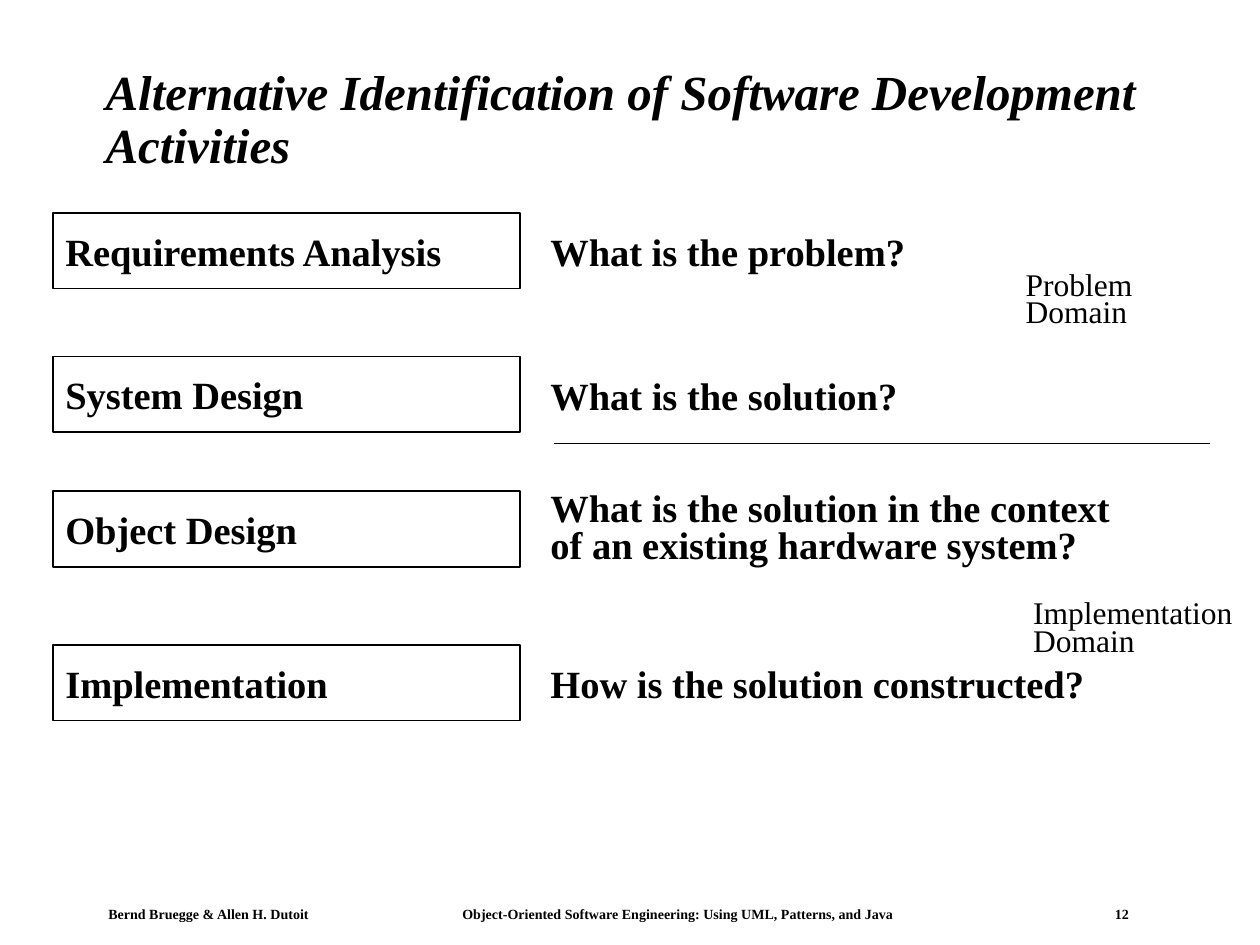
"""Builds a slide that pairs software development activities with the questions they answer."""
import pptx
import pptx.dml.color
import pptx.enum.shapes
import pptx.enum.text
import pptx.oxml
import pptx.oxml.ns
import pptx.util

Inches = pptx.util.Inches
Pt = pptx.util.Pt
Anchor = pptx.enum.text.MSO_ANCHOR


def color(value):
    return pptx.dml.color.RGBColor.from_string(value)


def write(tf, text, size=22, bold=True, italic=False, spacing=None, anchor=Anchor.TOP,
          wrap=False, inset=(0.1, 0.05), font="Times New Roman", ink="000000"):
    tf.word_wrap = wrap
    tf.vertical_anchor = anchor
    tf.margin_left = tf.margin_right = Inches(inset[0])
    tf.margin_top = tf.margin_bottom = Inches(inset[1])
    for i, line in enumerate(text.split("\n")):
        p = tf.paragraphs[0] if i == 0 else tf.add_paragraph()
        p.alignment = pptx.enum.text.PP_ALIGN.LEFT
        p.line_spacing = spacing
        r = p.add_run()
        r.text = line
        r.font.name = font
        r.font.size = Pt(size)
        r.font.bold = bold
        r.font.italic = italic
        r.font.color.rgb = color(ink)


class SlideBuilder:
    def __init__(self, slide, ink="000000", line_width=1):
        self.s = slide
        self.ink = ink
        self.line_width = Pt(line_width)

    def text(self, x, y, w, h, text, **fmt):
        sp = self.s.shapes.add_textbox(Inches(x), Inches(y), Inches(w), Inches(h))
        write(sp.text_frame, text, ink=self.ink, **fmt)
        return sp

    def box(self, x, y, w, h, text):
        sp = self.s.shapes.add_shape(pptx.enum.shapes.MSO_SHAPE.RECTANGLE,
                                     Inches(x), Inches(y), Inches(w), Inches(h))
        sp.shadow.inherit = False
        sp.fill.background()
        self.outline(sp)
        write(sp.text_frame, text, anchor=Anchor.MIDDLE, ink=self.ink)

    def line(self, x1, y1, x2, y2):
        cn = self.s.shapes.add_connector(pptx.enum.shapes.MSO_CONNECTOR.STRAIGHT,
                                         Inches(x1), Inches(y1), Inches(x2), Inches(y2))
        self.outline(cn)
        cn._element.spPr.append(pptx.oxml.parse_xml(
            f"<a:effectLst {pptx.oxml.ns.nsdecls('a')}/>"))

    def outline(self, sp):
        sp.line.color.rgb = color(self.ink)
        sp.line.width = self.line_width

    def footer(self, x, y, w, h, parts, tabs):
        sp = self.text(x, y, w, h, "\t".join(parts), size=8, wrap=True, inset=(0.08, 0.04))
        stops = "".join(f'<a:tab pos="{Inches(pos)}" algn="{align}"/>' for pos, align in tabs)
        pPr = sp.text_frame.paragraphs[0]._p.get_or_add_pPr()
        pPr.append(pptx.oxml.parse_xml(
            f"<a:tabLst {pptx.oxml.ns.nsdecls('a')}>{stops}</a:tabLst>"))


def main():
    prs = pptx.Presentation()
    prs.slide_width, prs.slide_height = Inches(10), Inches(7.5)
    b = SlideBuilder(prs.slides.add_slide(prs.slide_layouts[6]))

    b.footer(0.78, 7.15, 8.27, 0.21,
             ["Bernd Bruegge & Allen H. Dutoit",
              "Object-Oriented Software Engineering: Using UML, Patterns, and Java", "12"],
             [(2.81, "l"), (8.1, "r")])
    b.text(0.74, 0.44, 8.43, 1.04, "Alternative Identification of Software Development Activities",
           size=28, italic=True, spacing=0.9, anchor=Anchor.MIDDLE, wrap=True)

    b.line(4.4, 3.52, 9.6, 3.52)
    for x, y, w, domain in [(8.12, 2.15, 1.69, "Problem\nDomain"),
                            (8.18, 4.76, 1.63, "Implementation\nDomain")]:
        b.text(x, y, w, 0.58, domain, size=18, bold=False, spacing=Pt(15.8), inset=(0.02, 0.03))

    activities = [
        (1.69, "Requirements Analysis", "What is the problem?", 3.1),
        (2.83, "System Design", "What is the solution?", 3.05),
        (3.9, "Object Design",
         "What is the solution in the context\nof an existing hardware system?", 4.75),
        (5.12, "Implementation", "How is the solution constructed?", 4.55),
    ]
    box_h = 0.6
    for y, activity, question, w in activities:
        b.box(0.42, y, 3.71, box_h, activity)
        two_lines = "\n" in question
        h = 0.68 if two_lines else 0.46
        b.text(4.27, y + (box_h - h) / 2, w, h, question, wrap=True,
               spacing=0.8 if two_lines else None)

    prs.save("out.pptx")


if __name__ == "__main__":
    main()
